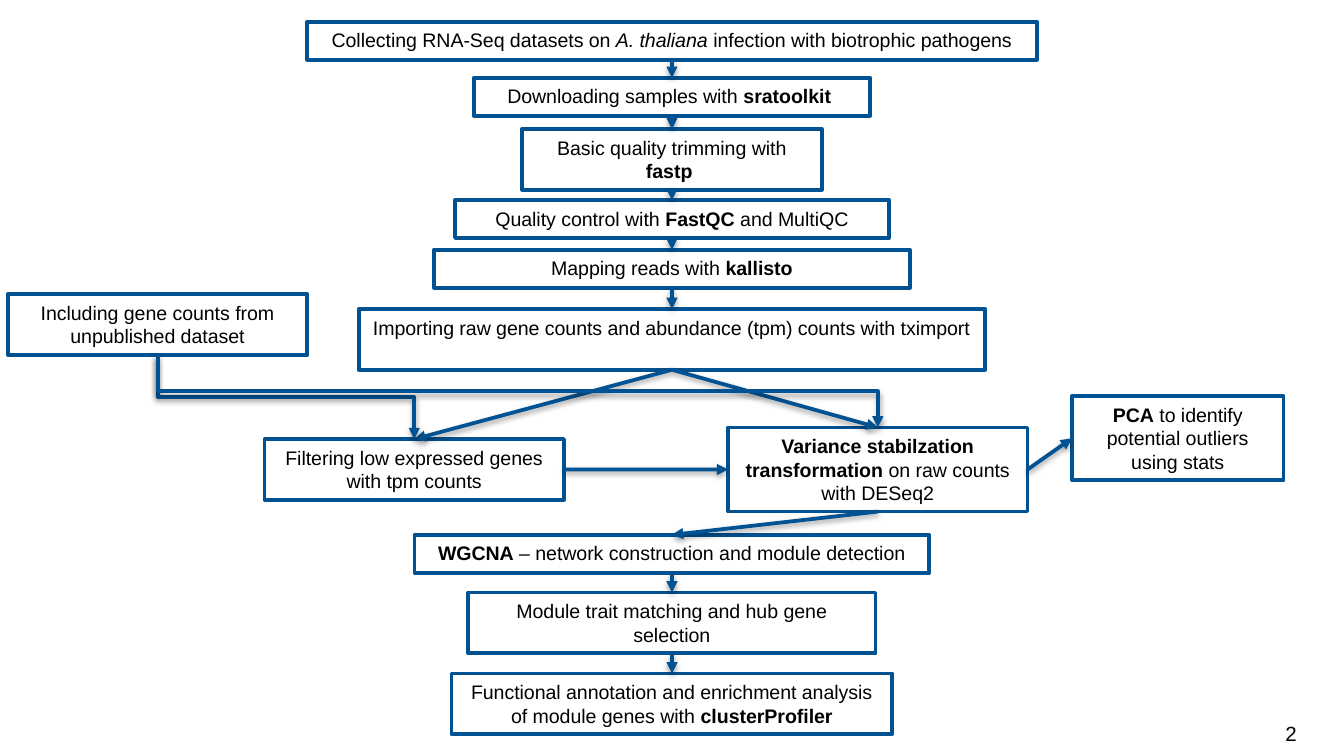
from lxml import etree
from pptx import Presentation
from pptx.dml.color import RGBColor
from pptx.enum.shapes import MSO_CONNECTOR, MSO_SHAPE
from pptx.enum.text import MSO_ANCHOR, MSO_AUTO_SIZE, PP_ALIGN
from pptx.oxml.ns import qn
from pptx.util import Cm, Pt

RECTANGLE = MSO_SHAPE.RECTANGLE
STRAIGHT, ELBOW = MSO_CONNECTOR.STRAIGHT, MSO_CONNECTOR.ELBOW
TOP_ANCHOR, MIDDLE_ANCHOR = MSO_ANCHOR.TOP, MSO_ANCHOR.MIDDLE
FIT_SHAPE, NO_FIT = MSO_AUTO_SIZE.SHAPE_TO_FIT_TEXT, MSO_AUTO_SIZE.NONE
CENTER, RIGHT = PP_ALIGN.CENTER, PP_ALIGN.RIGHT

TOP, LEFT_SIDE, BOTTOM, RIGHT_SIDE = range(4)
MIDDLE = 12.7
ONE_LINE, TWO_LINES, THREE_LINES = 0.72, 1.15, 1.59
STEP_WIDTH = 5.66
COLORS = {"blue": "005293", "white": "FFFFFF", "black": "000000"}


class Flowchart:
    font_name = "Arial"
    step_size = 10.5
    number_size = 11
    line_width = 2

    def __init__(self, slide):
        self.slide = slide

    def color(self, name):
        return RGBColor.from_string(COLORS[name])

    def style_line(self, line):
        line.color.rgb = self.color("blue")
        line.width = Pt(self.line_width)

    def style_run(self, run, size, emphasis=""):
        run.font.name = self.font_name
        run.font.size = Pt(size)
        run.font.color.rgb = self.color("black")
        if emphasis:
            run.font.bold = emphasis == "bold"
            run.font.italic = emphasis == "italic"

    def step(self, center, top, width, height, *parts, fit=FIT_SHAPE):
        box = self.slide.shapes.add_shape(
            RECTANGLE, Cm(center - width / 2), Cm(top), Cm(width), Cm(height))
        box.shadow.inherit = False
        box.fill.solid()
        box.fill.fore_color.rgb = self.color("white")
        self.style_line(box.line)
        frame = box.text_frame
        frame.word_wrap = True
        frame.auto_size = fit
        frame.vertical_anchor = TOP_ANCHOR
        paragraph = frame.paragraphs[0]
        paragraph.alignment = CENTER
        for text, emphasis in parts:
            run = paragraph.add_run()
            run.text = text
            self.style_run(run, self.step_size, emphasis)
        return box

    def arrow(self, source, target, start=BOTTOM, end=TOP, kind=STRAIGHT):
        connector = self.slide.shapes.add_connector(kind, 0, 0, 0, 0)
        connector.begin_connect(source, start)
        connector.end_connect(target, end)
        self.style_line(connector.line)
        outline = connector._element.spPr.find(qn("a:ln"))
        etree.SubElement(outline, qn("a:tailEnd"), type="triangle")
        return connector

    def elbow_down(self, source, target):
        connector = self.arrow(source, target, kind=ELBOW)
        across, down = connector.width, connector.height
        connector.left += (across - down) // 2
        connector.top += (down - across) // 2
        connector.width, connector.height = down, across
        transform = connector._element.spPr.find(qn("a:xfrm"))
        transform.set("rot", "16200000")
        transform.set("flipH", "1")

    def page_number(self, number):
        box = self.slide.shapes.add_textbox(Cm(18.82), Cm(13.49), Cm(5.69), Cm(0.76))
        frame = box.text_frame
        frame.word_wrap = True
        frame.margin_left = frame.margin_right = 0
        frame.vertical_anchor = MIDDLE_ANCHOR
        frame.text = number
        frame.paragraphs[0].alignment = RIGHT
        self.style_run(frame.paragraphs[0].runs[0], self.number_size)


def main():
    presentation = Presentation()
    presentation.slide_width, presentation.slide_height = Cm(25.4), Cm(14.29)
    chart = Flowchart(presentation.slides.add_slide(presentation.slide_layouts[6]))

    preparation = [
        chart.step(MIDDLE, 0.41, 13.79, ONE_LINE,
                   ("Collecting RNA-Seq datasets on", ""), (" A. thaliana ", "italic"),
                   ("infection with biotrophic pathogens", "")),
        chart.step(MIDDLE, 1.47, 7.49, ONE_LINE,
                   ("Downloading samples with ", ""), ("sratoolkit ", "bold")),
        chart.step(MIDDLE, 2.44, STEP_WIDTH, TWO_LINES,
                   ("Basic quality trimming with ", ""), ("fastp ", "bold")),
        chart.step(MIDDLE, 3.78, 8.2, ONE_LINE,
                   ("Quality control with ", ""), ("FastQC", "bold"), (" and MultiQC", "")),
        chart.step(MIDDLE, 4.72, 9, ONE_LINE,
                   ("Mapping reads with ", ""), ("kallisto", "bold")),
        chart.step(MIDDLE, 5.84, 11.84, TWO_LINES,
                   ("Importing raw gene counts and abundance (tpm) counts with tximport", ""),
                   fit=NO_FIT),
    ]
    filtering = chart.step(7.83, 8.3, STEP_WIDTH, TWO_LINES,
                           ("Filtering low expressed genes with tpm counts", ""))
    variance = chart.step(16.59, 8.08, STEP_WIDTH, THREE_LINES,
                          ("Variance stabilzation transformation ", "bold"),
                          ("on raw counts with DESeq2", ""))
    network = [
        chart.step(MIDDLE, 10.11, 9.73, ONE_LINE,
                   ("WGCNA", "bold"), (" – network construction and module detection", "")),
        chart.step(MIDDLE, 11.2, 7.7, TWO_LINES,
                   ("Module trait matching and hub gene selection", "")),
        chart.step(MIDDLE, 12.73, 8.33, TWO_LINES,
                   ("Functional annotation and enrichment analysis of module genes with ", ""),
                   ("clusterProfiler", "bold")),
    ]
    outliers = chart.step(22.26, 7.49, 4, THREE_LINES,
                          ("PCA", "bold"),
                          (" to identify potential outliers using stats", ""))
    unpublished = chart.step(2.98, 5.56, STEP_WIDTH, TWO_LINES,
                             ("Including gene counts from unpublished dataset", ""))

    for sequence in (preparation, network):
        for source, target in zip(sequence, sequence[1:]):
            chart.arrow(source, target)
    for target in (filtering, variance):
        chart.arrow(preparation[-1], target)
        chart.elbow_down(unpublished, target)
    chart.arrow(filtering, variance, RIGHT_SIDE, LEFT_SIDE)
    chart.arrow(variance, outliers, RIGHT_SIDE, LEFT_SIDE)
    chart.arrow(variance, network[0])
    chart.page_number("2")

    presentation.save("out.pptx")


if __name__ == "__main__":
    main()
